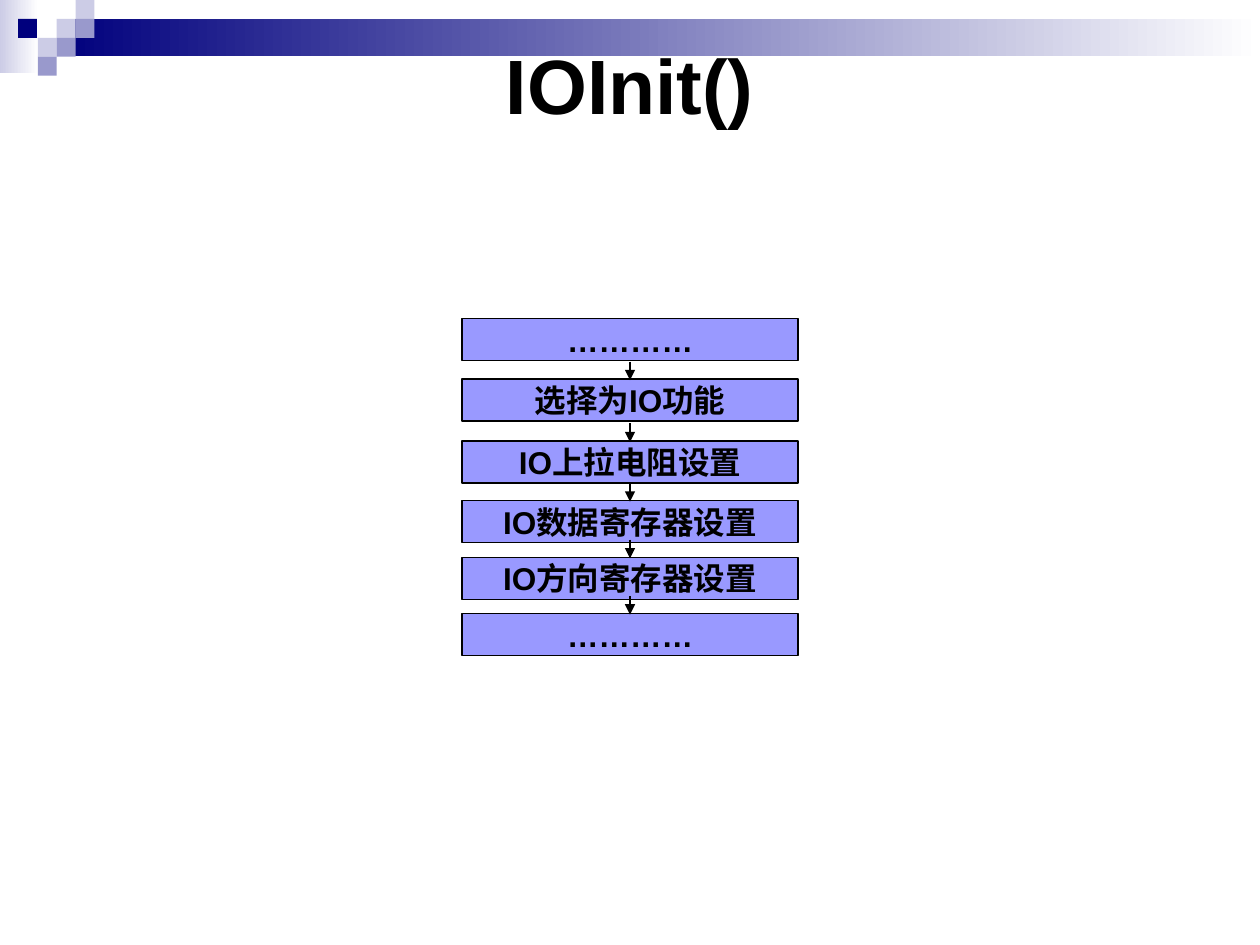
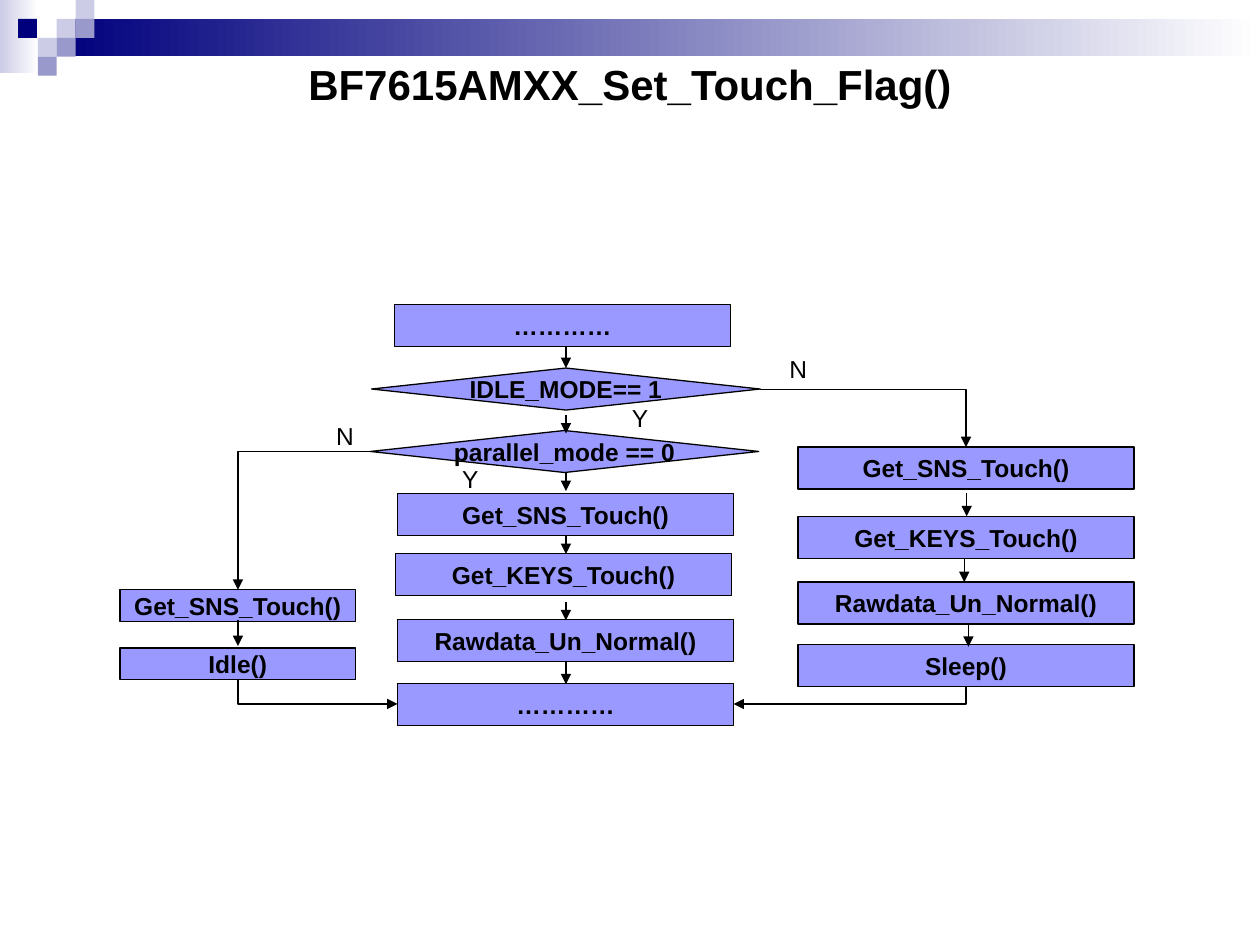
from lxml import etree
from pptx import Presentation
from pptx.dml.color import RGBColor
from pptx.enum.shapes import MSO_CONNECTOR as Connector, MSO_SHAPE as Shape
from pptx.enum.text import MSO_ANCHOR as Anchor, PP_ALIGN as Align
from pptx.oxml.ns import qn
from pptx.util import Pt

COLORS = {
    "navy": "00007D",
    "violet": "9999CC",
    "lilac": "CCCCE6",
    "white": "FFFFFF",
    "box": "9999FF",
    "ink": "000000",
}
COLORS = {name: RGBColor.from_string(value) for name, value in COLORS.items()}
FONT = "Arial"
BOX_WIDTH, BOX_HEIGHT = 192, 24
SQUARE = 10.8


def add_text(slide, text, left, top, width=BOX_WIDTH, height=BOX_HEIGHT, *,
             outline=None, size=14, bold=True, wrap=False,
             align=Align.CENTER, anchor=Anchor.MIDDLE):
    """Add text in a filled preset shape, or in a plain box without an outline."""
    place = Pt(left), Pt(top), Pt(width), Pt(height)
    if outline is None:
        shape = slide.shapes.add_textbox(*place)
    else:
        shape = slide.shapes.add_shape(outline, *place)
        shape.shadow.inherit = False
        shape.fill.solid()
        shape.fill.fore_color.rgb = COLORS["box"]
        shape.line.color.rgb = COLORS["ink"]
        shape.line.width = Pt(0.75)
    frame = shape.text_frame
    frame.word_wrap = wrap
    frame.vertical_anchor = anchor
    paragraph = frame.paragraphs[0]
    paragraph.alignment = align
    run = paragraph.add_run()
    run.text = text
    run.font.name = FONT
    run.font.size = Pt(size)
    run.font.bold = bold
    run.font.color.rgb = COLORS["ink"]


def add_arrow(slide, x1, y1, x2, y2, *, bent=False, end="tailEnd"):
    """Add an arrow; a bent one runs level first and then turns once."""
    kind = Connector.ELBOW if bent else Connector.STRAIGHT
    arrow = slide.shapes.add_connector(kind, Pt(x1), Pt(y1), Pt(x2), Pt(y2))
    arrow.line.color.rgb = COLORS["ink"]
    arrow.line.width = Pt(0.75)
    properties = arrow._element.spPr
    if bent:
        properties.find(qn("a:prstGeom")).set("prst", "bentConnector2")
    etree.SubElement(properties.find(qn("a:ln")), qn(f"a:{end}"), type="triangle")
    etree.SubElement(properties, qn("a:effectLst"))


presentation = Presentation()
presentation.slide_width, presentation.slide_height = Pt(720), Pt(540)

# Shared header: bands fade to white, squares are (left, row, colour)
bands = [
    (0, 0, 22, 42, "lilac", "white"),
    (32.4, SQUARE, 687.6, 21.2, "navy", "white"),
]
squares = [
    (32.4, 1, "lilac"), (43.2, 0, "lilac"), (43.2, 1, "violet"),
    (21.6, 2, "lilac"), (10.3, 1, "navy"), (32.4, 2, "violet"),
    (21.6, 3, "violet"),
]
header = bands + [
    (left, row * SQUARE, SQUARE, SQUARE, color, None) for left, row, color in squares
]
titles = [("IOInit()", 44), ("BF7615AMXX_Set_Touch_Flag()", 24)]
slides = []
for title, size in titles:
    slide = presentation.slides.add_slide(presentation.slide_layouts[6])
    slides.append(slide)
    for left, top, width, height, color, fade in header:
        shape = slide.shapes.add_shape(
            Shape.RECTANGLE, Pt(left), Pt(top), Pt(width), Pt(height))
        shape.shadow.inherit = False
        shape.line.fill.background()
        if fade:
            shape.fill.gradient()
            shape.fill.gradient_angle = 0
            for stop, name in zip(shape.fill.gradient_stops, (color, fade)):
                stop.color.rgb = COLORS[name]
        else:
            shape.fill.solid()
            shape.fill.fore_color.rgb = COLORS[color]
    add_text(slide, title, 36, 36, 648, 24, size=size, wrap=True)
init_slide, touch_slide = slides

# Slide 1: one column of steps
init_steps = [
    (182, "…………"),
    (216.6, "选择为IO功能"),
    (252, "IO上拉电阻设置"),
    (286, "IO数据寄存器设置"),
    (318.4, "IO方向寄存器设置"),
    (350.5, "…………"),
]
for top, text in init_steps:
    add_text(init_slide, text, 264, top, outline=Shape.RECTANGLE, size=18)
for top, _ in init_steps[1:]:
    add_arrow(init_slide, 360, top - 10, 360, top + 0.7)

# Slide 2: main column, with a branch on each side
main_steps = [
    (225.4, 174, "…………"),
    (227.2, 282, "Get_SNS_Touch()"),
    (226, 316.4, "Get_KEYS_Touch()"),
    (227.2, 354, "Rawdata_Un_Normal()"),
    (227.2, 390.6, "…………"),
]
sleep_steps = [
    (456, 255.5, "Get_SNS_Touch()"),
    (456, 295, "Get_KEYS_Touch()"),
    (456, 332.6, "Rawdata_Un_Normal()"),
    (456, 368.4, "Sleep()"),
]
for left, top, text in main_steps + sleep_steps:
    add_text(touch_slide, text, left, top, outline=Shape.RECTANGLE)

for top, text in [(337, "Get_SNS_Touch()"), (370.3, "Idle()")]:
    add_text(touch_slide, text, 68.6, top, 134.6, 18, outline=Shape.RECTANGLE)

decisions = [(212.4, 210.3, "IDLE_MODE== 1"), (211.6, 246, "parallel_mode == 0")]
for left, top, text in decisions:
    add_text(touch_slide, text, left, top, 222, outline=Shape.DIAMOND)

down_arrows = {
    323.4: [(197.5, 210.3), (237, 247.7), (270, 280.6), (306, 316.6),
            (344, 354.5), (378, 391)],
    136: [(354.5, 369.2)],
    552.4: [(282, 295)],
    551: [(319.5, 332.6)],
    553.4: [(356.5, 369.6)],
}
for x, spans in down_arrows.items():
    for start, finish in spans:
        add_arrow(touch_slide, x, start, x, finish)

# The branches leave the decisions and come back to the last main step
add_arrow(touch_slide, 211.6, 258, 136, 337, bent=True)
add_arrow(touch_slide, 434.4, 222.4, 552, 255.5, bent=True)
add_arrow(touch_slide, 227.2, 402.3, 136, 388.3, bent=True, end="headEnd")
add_arrow(touch_slide, 419.2, 402.3, 552, 392.4, bent=True, end="headEnd")

branch_labels = [(257, 261.4, "Y"), (185, 237, "N"), (354, 227, "Y"), (444, 198.6, "N")]
for left, top, text in branch_labels:
    add_text(touch_slide, text, left, top, 24, 24.5, bold=False, wrap=True,
             align=Align.LEFT, anchor=Anchor.TOP)

presentation.save("out.pptx")
